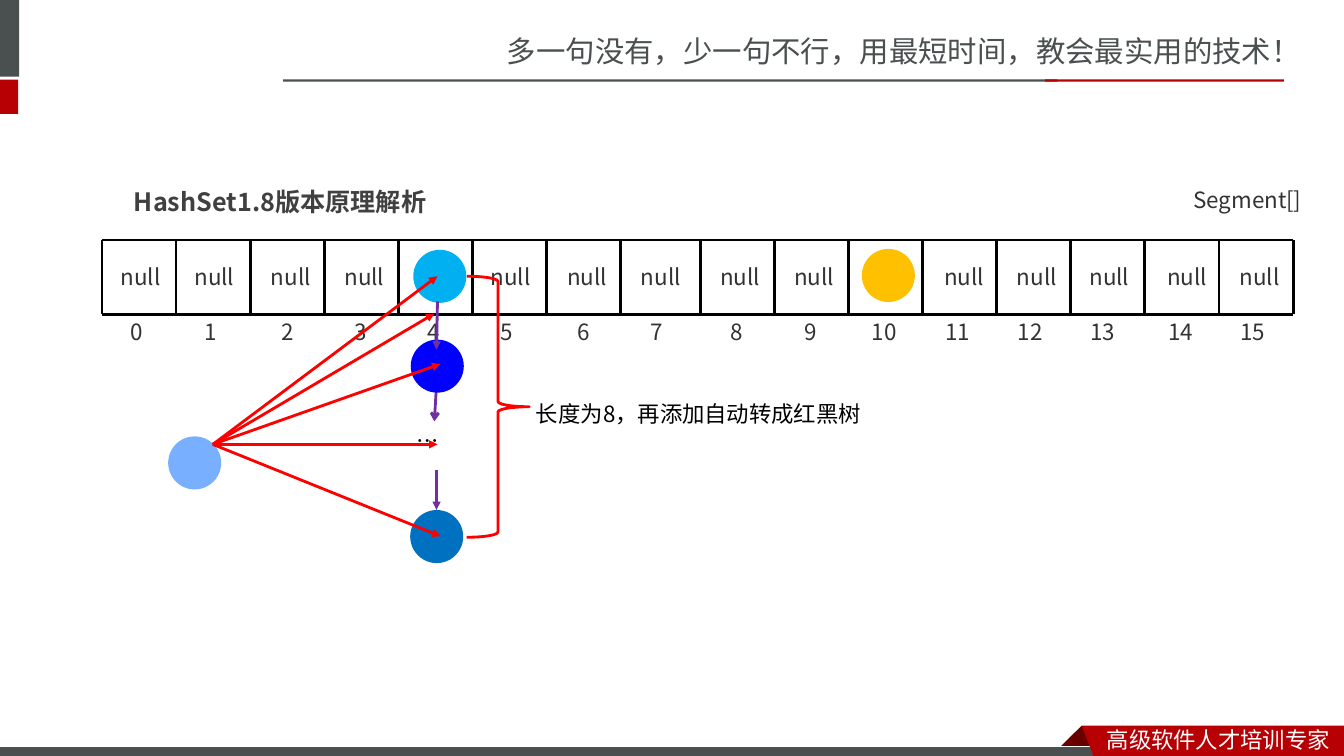
"""Build the slide that explains how a HashSet stores its entries in buckets."""
from dataclasses import dataclass

import lxml.etree
import pptx
import pptx.dml.color
import pptx.enum.shapes
import pptx.oxml.ns
import pptx.util

Pt = pptx.util.Pt
SHAPES = pptx.enum.shapes.MSO_SHAPE
FONT = "Noto Sans CJK SC"
COLORS = {
    "slate": "49504F", "crimson": "B60004", "maroon": "680000", "white": "FFFFFF",
    "black": "000000", "text": "333333", "heading": "404040", "red": "FF0000",
    "purple": "7030A0", "amber": "FFC000", "ocean": "0070C0", "blue": "0000FF",
    "sky": "00B0F0", "pale": "79AFFF",
}


@dataclass
class Panel:
    left: float
    top: float
    width: float
    height: float
    color: str
    outline: str = ""


@dataclass
class Label:
    text: str
    left: float
    top: float
    width: float
    height: float
    size: float = 16
    color: str = "text"
    bold: bool = False
    wrap: bool = False
    spacing: float = 1.0


@dataclass
class Line:
    start: tuple[float, float]
    end: tuple[float, float]
    color: str = "black"
    arrow: str = ""


@dataclass
class Node:
    left: float
    top: float
    color: str


@dataclass
class Outline:
    points: list[tuple[float, float]]
    color: str


HEADER_PANELS = [
    Panel(-4.3, 0, 18, 54.7, "slate"),
    Panel(-4.3, 56.9, 17.3, 24.5, "crimson"),
    Panel(202.3, 56.7, 553, 1.7, "slate"),
    Panel(746.6, 56.7, 170.6, 1.7, "crimson"),
]
FOOTER_FOLD = Outline([(772.6, 518.4), (788.4, 534.2), (787.7, 535), (757.4, 535), (756.7, 534.2)], "maroon")
FOOTER_BAR = Panel(-0.7, 533.5, 792, 8.6, "slate", "white")
FOOTER_RIBBON = Outline([(772.6, 518.4), (960, 518.4), (960, 542.9), (781.9, 542.2)], "crimson")

ARRAY_TOP, ARRAY_BOTTOM = 171.4, 224.4
ARRAY_LEFT, CELL_WIDTH = 72.8, 52.95
WIDE_CELL, EXTRA_WIDTH = 7, 3.7
CELL_LEFTS = [79.2, 131.8, 186.5, 239, 291, 343.4, 398.2, 450.7,
              507.4, 560.2, 615, 667.4, 719.3, 771.1, 826.6, 878.4]
OCCUPIED_CELLS = (4, 10)

NODE_SIZE = 37.9
NODES = [
    Node(615.6, 177.8, "amber"),
    Node(293, 364.3, "ocean"),
    Node(293.4, 242.6, "blue"),
    Node(295.2, 178.4, "sky"),
    Node(120.1, 311.7, "pale"),
]
SOURCE = (152, 317.4)
TARGETS = [(310.3, 224), (312.5, 197.3), (314.6, 260), (312.5, 317.4), (314.6, 383)]
MIDDLE_LINK = Line((311.8, 275), (310.3, 301), "purple", "arrow")
OUTER_LINKS = [
    Line((311.8, 335.5), (311.8, 364.3), "purple", "triangle"),
    Line((312.5, 215.3), (311.8, 249.8), "purple", "triangle"),
]

LABELS = [
    Label("多一句没有，少一句不行，用最短时间，教会最实用的技术！",
          355, 20.2, 605.5, 33.8, 21, "slate", wrap=True),
    Label("高级软件人才培训专家", 783.4, 514.8, 176.4, 26.6, color="white", wrap=True),
    Label("Segment[]", 845.3, 129.6, 95, 26.6),
    Label("HashSet1.8版本原理解析", 88.6, 118.8, 471.6, 36, 18, "heading", True, True, 1.5),
    Label("…", 290.2, 301.7, 27.4, 26.6, color="black"),
    Label("长度为8，再添加自动转成红黑树", 375.8, 272.9, 249.8, 33.1, color="black", wrap=True, spacing=1.5),
]


def rgb(name: str) -> pptx.dml.color.RGBColor:
    return pptx.dml.color.RGBColor.from_string(COLORS[name])


def paint(shape, color: str, outline: str = "") -> None:
    shape.shadow.inherit = False
    shape.fill.solid()
    shape.fill.fore_color.rgb = rgb(color)
    if outline:
        shape.line.color.rgb = rgb(outline)
        shape.line.width = Pt(0.75)
    else:
        shape.line.fill.background()


def draw_panel(slide, panel: Panel) -> None:
    box = slide.shapes.add_shape(
        SHAPES.RECTANGLE, Pt(panel.left), Pt(panel.top), Pt(panel.width), Pt(panel.height))
    paint(box, panel.color, panel.outline)


def draw_outline(slide, outline: Outline) -> None:
    points = [(Pt(x), Pt(y)) for x, y in outline.points]
    builder = slide.shapes.build_freeform(*points[0])
    builder.add_line_segments(points[1:], close=True)
    paint(builder.convert_to_shape(), outline.color)


def draw_node(slide, node: Node) -> None:
    circle = slide.shapes.add_shape(
        SHAPES.OVAL, Pt(node.left), Pt(node.top), Pt(NODE_SIZE), Pt(NODE_SIZE))
    paint(circle, node.color)


def draw_label(slide, label: Label) -> None:
    box = slide.shapes.add_textbox(Pt(label.left), Pt(label.top), Pt(label.width), Pt(label.height))
    box.text_frame.word_wrap = label.wrap
    box.text_frame.text = label.text
    para = box.text_frame.paragraphs[0]
    para.line_spacing = label.spacing
    span = para.runs[0]
    span.font.name = FONT
    span.font.size = Pt(label.size)
    span.font.bold = label.bold
    span.font.color.rgb = rgb(label.color)
    properties = span.font._element
    lxml.etree.SubElement(properties, pptx.oxml.ns.qn("a:ea"), typeface=FONT)


def draw_line(slide, line: Line) -> None:
    connector = slide.shapes.add_connector(
        pptx.enum.shapes.MSO_CONNECTOR.STRAIGHT, *(Pt(value) for value in line.start + line.end))
    connector.line.color.rgb = rgb(line.color)
    connector.line.width = Pt(2)
    if line.arrow:
        stroke = connector.line._get_or_add_ln()
        lxml.etree.SubElement(stroke, pptx.oxml.ns.qn("a:tailEnd"), type=line.arrow)
    lxml.etree.SubElement(connector._element.spPr, pptx.oxml.ns.qn("a:effectLst"))


def draw_array(slide) -> None:
    count = len(CELL_LEFTS)
    edges = [ARRAY_LEFT + CELL_WIDTH * index + (EXTRA_WIDTH if index > WIDE_CELL else 0)
             for index in range(count + 1)]
    for y in (ARRAY_TOP, ARRAY_BOTTOM):
        draw_line(slide, Line((edges[0], y), (edges[-1], y)))
    for x in edges:
        draw_line(slide, Line((x, ARRAY_TOP), (x, ARRAY_BOTTOM)))
    for index, left in enumerate(CELL_LEFTS):
        if index not in OCCUPIED_CELLS:
            draw_label(slide, Label("null", left, 184.3, 43.2, 26.6))
        indent, width = (7.2, 23.8) if index < 10 else (0.7, 33.1)
        draw_label(slide, Label(str(index), left + indent, 223.9, width, 26.6))


def draw_brace(slide) -> None:
    brace = slide.shapes.add_shape(SHAPES.RIGHT_BRACE, Pt(333.4), Pt(197.3), Pt(44.6), Pt(186.5))
    brace.shadow.inherit = False
    brace.fill.background()
    brace.line.color.rgb = rgb("red")
    brace.line.width = Pt(2)


def main() -> None:
    deck = pptx.Presentation()
    deck.slide_width, deck.slide_height = Pt(960), Pt(540)
    slide = deck.slides.add_slide(deck.slide_layouts[6])
    for panel in HEADER_PANELS:
        draw_panel(slide, panel)
    draw_outline(slide, FOOTER_FOLD)
    draw_panel(slide, FOOTER_BAR)
    draw_outline(slide, FOOTER_RIBBON)
    draw_array(slide)
    draw_line(slide, MIDDLE_LINK)
    for node in NODES:
        draw_node(slide, node)
    for link in OUTER_LINKS:
        draw_line(slide, link)
    for label in LABELS:
        draw_label(slide, label)
    draw_brace(slide)
    for target in TARGETS:
        draw_line(slide, Line(SOURCE, target, "red", "triangle"))
    deck.save("out.pptx")


if __name__ == "__main__":
    main()
